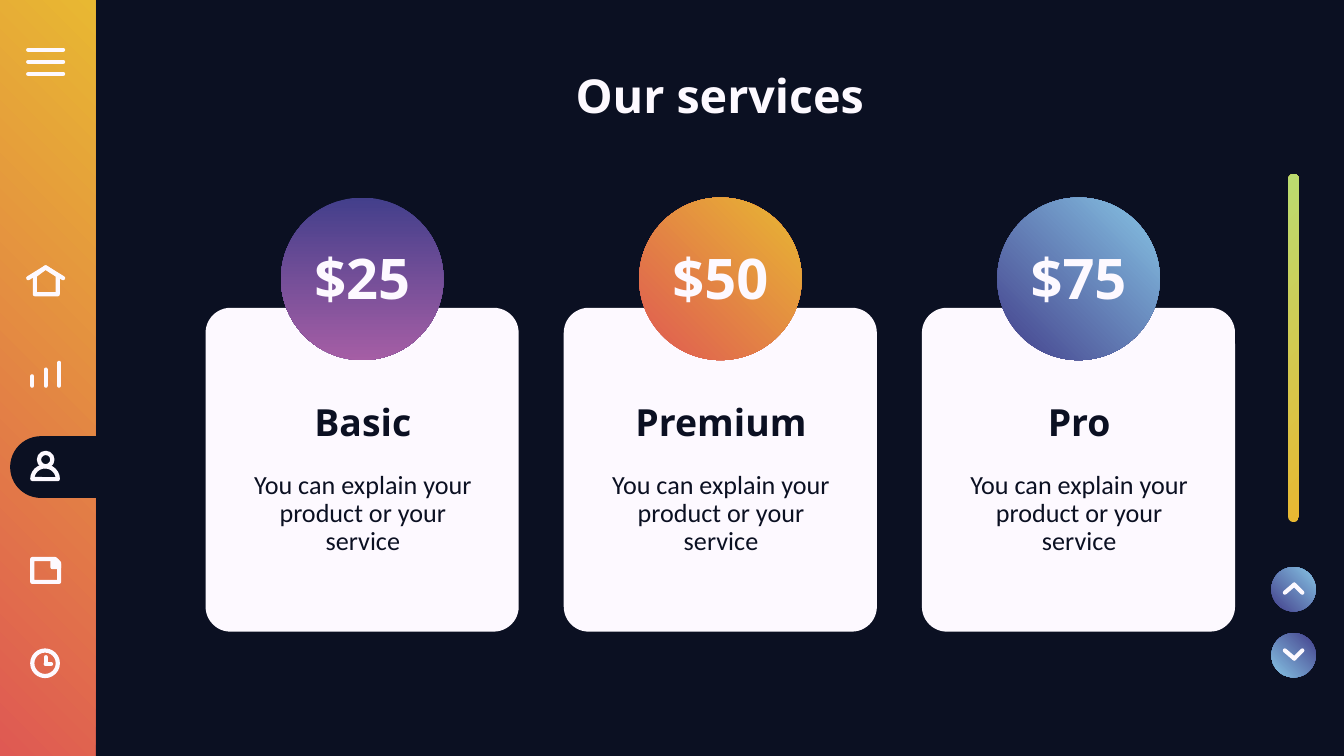
import pptx
import pptx.dml.color
import pptx.enum.shapes
import pptx.enum.text
import pptx.util
from lxml import etree
from pptx.oxml.ns import qn

Inches, Pt = pptx.util.Inches, pptx.util.Pt
Color = pptx.dml.color.RGBColor
Kind = pptx.enum.shapes.MSO_SHAPE
Anchor = pptx.enum.text.MSO_ANCHOR

NIGHT = Color(0x0B, 0x10, 0x22)
WHITE = Color(0xFD, 0xF9, 0xFF)
RED = Color(0xDF, 0x59, 0x53)
GOLD = Color(0xE8, 0xB8, 0x32)
LIME = Color(0xBB, 0xDB, 0x70)
INDIGO = Color(0x43, 0x3F, 0x8B)
PURPLE = Color(0xA5, 0x5E, 0xA5)
SKY = Color(0x87, 0xC5, 0xE5)

WIDE = 10
HIGH = WIDE * 9 / 16
TITLE = "Our services"
BODY = "You can explain your product or your service"
# price, name, gradient start, gradient end, gradient angle
PLANS = [
    ("$25", "Basic", INDIGO, PURPLE, 270),
    ("$50", "Premium", RED, GOLD, 45),
    ("$75", "Pro", INDIGO, SKY, 45),
]
LEFT, RIGHT = 1.53, 6.86
STEP = (RIGHT - LEFT) / (len(PLANS) - 1)

# strokes of the sidebar icons: x1, y1, x2, y2
MENU = [(0.21, y, 0.47, y) for y in (0.37, 0.46, 0.55)]
ROOF = [(x, 2.07, 0.34, 1.99) for x in (0.21, 0.47)]
BARS = [(0.24 + 0.1 * i, 2.8 - 0.05 * i, 0.24 + 0.1 * i, 2.87) for i in range(3)]
HANDS = [(0.34, 4.89, 0.34, 4.94), (0.38, 4.94, 0.34, 4.94)]
# corners of the icon outlines, in hundredths of an inch
HOUSE = [(26, 205), (26, 219), (43, 219), (43, 205), (34, 199)]
FOLD = [(39, 417), (42, 417), (44, 420), (44, 422), (39, 422)]


def stroke(item):
    item.line.color.rgb = WHITE
    item.line.width = Pt(2.25)
    item.line._get_or_add_ln().set("cap", "rnd")


def paint(item, fill=None, lined=False):
    """Fill with a colour, a (start, end, angle) gradient, or nothing."""
    item.shadow.inherit = False
    if fill is None:
        item.fill.background()
    elif isinstance(fill, Color):
        item.fill.solid()
        item.fill.fore_color.rgb = fill
    else:
        item.fill.gradient()
        item.fill.gradient_angle = fill[2]
        for stop, color in zip(item.fill.gradient_stops, fill):
            stop.color.rgb = color
    if lined:
        stroke(item)
    else:
        item.line.fill.background()


def shape(home, kind, box, fill=None, lined=False, turn=0, adjust=()):
    item = home.add_shape(kind, *map(Inches, box))
    item.rotation = turn
    for i, value in enumerate(adjust):
        item.adjustments[i] = value
    paint(item, fill, lined)


def lines(home, paths):
    for path in paths:
        item = home.add_connector(
            pptx.enum.shapes.MSO_CONNECTOR.STRAIGHT, *map(Inches, path))
        stroke(item)
        etree.SubElement(item._element.spPr, qn("a:effectLst"))


def outline(home, points, fill=None):
    pen = home.build_freeform(*points[0], scale=Inches(0.01))
    pen.add_line_segments(points[1:], close=True)
    paint(pen.convert_to_shape(), fill, lined=True)


def text(home, words, box, size, color, font="Open Sans", bold=True,
         anchor=Anchor.MIDDLE):
    frame = home.add_textbox(*map(Inches, box)).text_frame
    frame.word_wrap = True
    frame.vertical_anchor = anchor
    frame.margin_left = frame.margin_right = Inches(0.1)
    frame.margin_top = frame.margin_bottom = Inches(0.1)
    para = frame.paragraphs[0]
    para.alignment = pptx.enum.text.PP_ALIGN.CENTER
    run = para.add_run()
    run.text = words
    run.font.size = Pt(size)
    run.font.name = font
    run.font.bold = bold
    run.font.color.rgb = color
    return para


def sidebar(home):
    shape(home, Kind.RECTANGLE, (0, 0, 0.71, HIGH), (RED, GOLD, 45))
    shape(home, Kind.ROUND_2_SAME_RECTANGLE, (0.2, 3.12, 0.46, 0.71), NIGHT,
          turn=270, adjust=(0.5, 0))
    menu, house, chart, user, note, clock = [
        home.add_group_shape().shapes for _ in range(6)]
    lines(menu, MENU)
    lines(house, ROOF)
    outline(house, HOUSE)
    lines(chart, BARS)
    shape(user, Kind.OVAL, (0.29, 3.37, 0.1, 0.1), lined=True)
    shape(user, Kind.PIE, (0.24, 3.47, 0.19, 0.19), lined=True, turn=90,
          adjust=(54.33, 162))
    shape(note, Kind.SNIP_1_RECTANGLE, (0.24, 4.16, 0.2, 0.17), lined=True,
          adjust=(0.17,))
    outline(note, FOLD, WHITE)
    shape(clock, Kind.OVAL, (0.24, 4.84, 0.19, 0.19), lined=True)
    lines(clock, HANDS)


def scroll(home):
    shape(home, Kind.ROUNDED_RECTANGLE, (8.33, 2.55, 2.59, 0.08),
          (GOLD, LIME, 45), turn=270, adjust=(0.5,))
    # button top, rotation, arrow tip, arrow ends
    for top, turn, tip, end in ((4.22, 0, 4.35, 4.41), (4.71, 180, 4.9, 4.84)):
        shape(home, Kind.OVAL, (9.46, top, 0.33, 0.33), (INDIGO, SKY, 45),
              turn=turn)
        lines(home.add_group_shape().shapes,
              [(9.63, tip, x, end) for x in (9.56, 9.69)])


def card(home, left, plan):
    price, name, *blend = plan
    shape(home, Kind.ROUNDED_RECTANGLE, (left, 2.29, 2.33, 2.41), WHITE,
          adjust=(0.08,))
    shape(home, Kind.OVAL, (left + 0.56, 1.47, 1.21, 1.21), blend)
    text(home, price, (left + 0.67, 1.57, 0.99, 0.99), 30, WHITE)
    text(home, name, (left + 0.16, 2.79, 2.02, 0.69), 20, NIGHT)
    para = text(home, BODY, (left + 0.16, 3.28, 2.02, 1.09), 14, NIGHT,
                "Calibri", False)
    para.line_spacing = 0.9
    para.space_after = Pt(16)


def main():
    deck = pptx.Presentation()
    deck.slide_width, deck.slide_height = Inches(WIDE), Inches(HIGH)
    slide = deck.slides.add_slide(deck.slide_layouts[6])
    slide.background.fill.solid()
    slide.background.fill.fore_color.rgb = NIGHT
    home = slide.shapes
    sidebar(home)
    text(home, TITLE, (0.71, 0.4, 9.29, 0.63), 25, WHITE, anchor=Anchor.TOP)
    for i, plan in enumerate(PLANS):
        card(home, LEFT + i * STEP, plan)
    scroll(home)
    deck.save("out.pptx")


if __name__ == "__main__":
    main()
